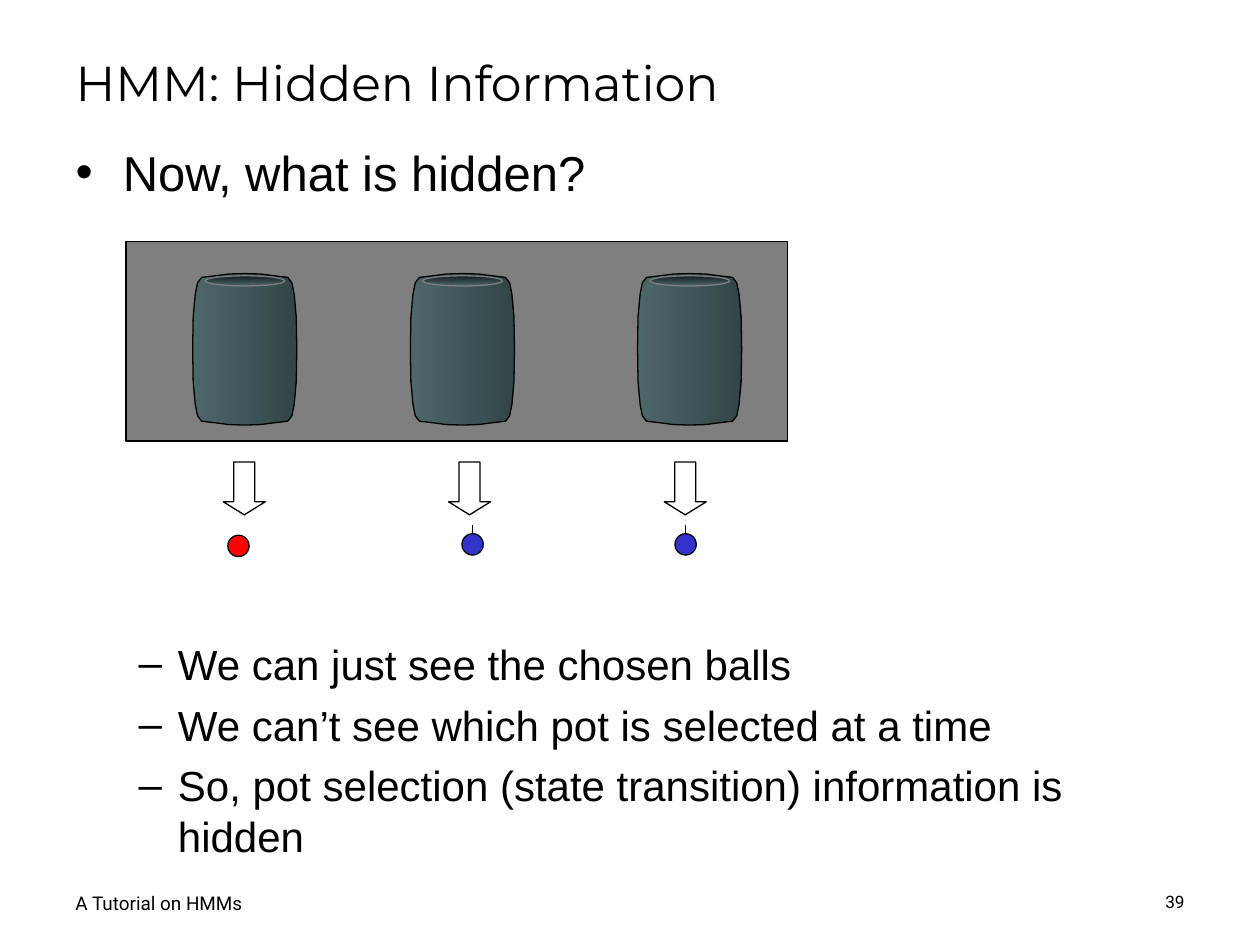
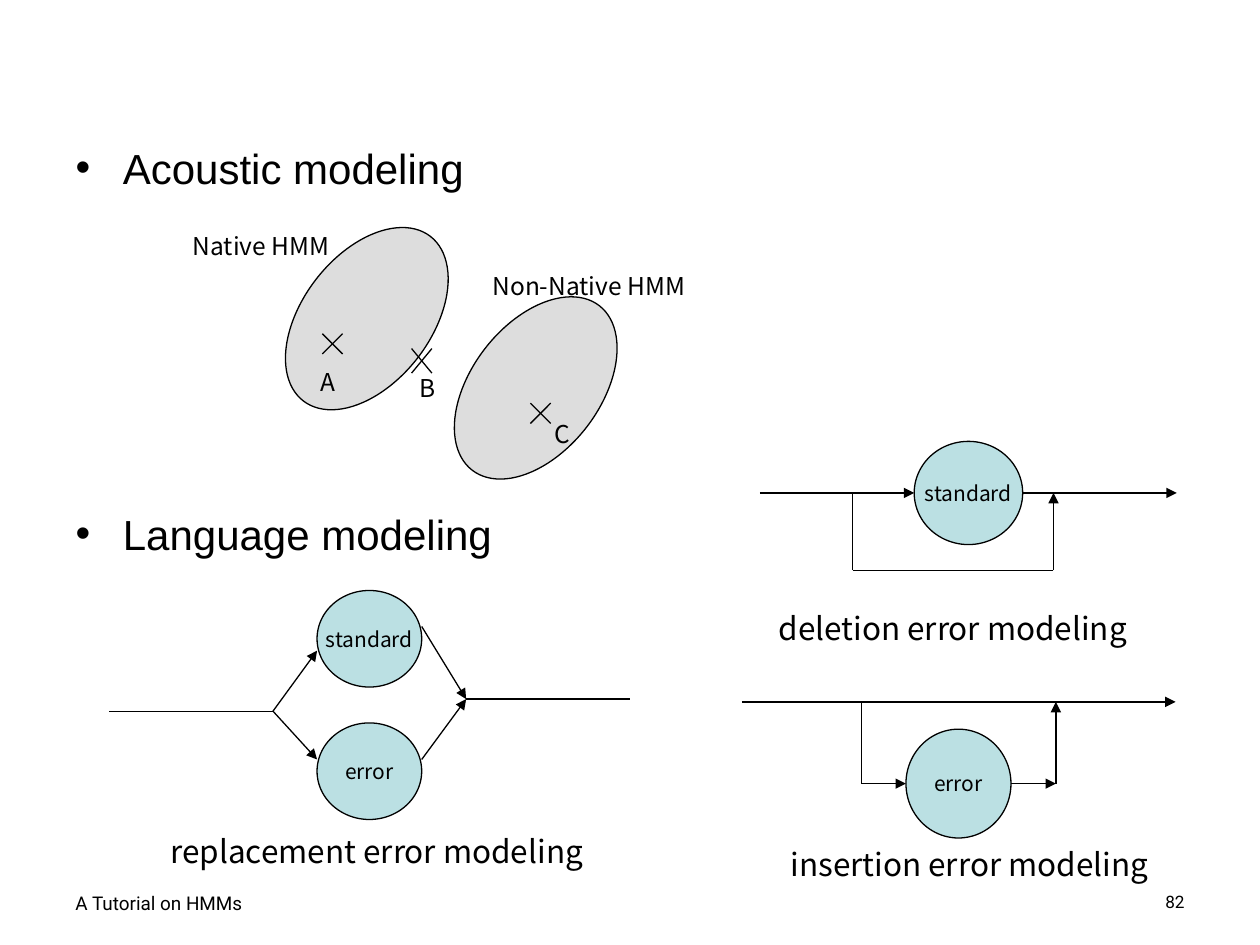
from dataclasses import dataclass
from typing import NamedTuple, Optional

import lxml.etree
import pptx
import pptx.dml.color
import pptx.enum.shapes
import pptx.enum.text
import pptx.oxml.ns
import pptx.util

Pt = pptx.util.Pt
Shape = pptx.enum.shapes.MSO_SHAPE
Align = pptx.enum.text.PP_ALIGN
Anchor = pptx.enum.text.MSO_ANCHOR
qn = pptx.oxml.ns.qn


# Theme: every colour, font and type size
@dataclass(frozen=True)
class Theme:
    black: str = "000000"
    white: str = "FFFFFF"
    red: str = "FF0000"
    blue: str = "3333CC"
    cluster: str = "DDDDDD"
    state: str = "BBE0E3"
    pot_light: str = "9CD2D6"
    pot_dark: str = "678B8E"
    mouth_dark: str = "283637"
    title_font: str = "Montserrat"
    body_font: str = "Arial"
    footer_font: str = "Roboto"
    label_font: str = "Noto Sans CJK KR"
    title_size: float = 28
    lead_size: float = 28
    body_size: float = 24
    caption_size: float = 18
    label_size: float = 14
    state_size: float = 12
    footer_size: float = 10.8
    number_size: float = 9.8
    line_width: float = 0.75


THEME = Theme()


class Item(NamedTuple):
    text: str
    size: float
    level: int = 0
    space_before: float = 0


class Label(NamedTuple):
    text: str
    left: float
    top: float
    width: float
    size: float = THEME.label_size


class State(NamedTuple):
    text: str
    left: float
    top: float
    width: float
    height: float


class Link(NamedTuple):
    begin: tuple[float, float]
    end: tuple[float, float]
    arrow: bool = False


class Cross(NamedTuple):
    x: float
    y: float
    half_width: float = 5.8
    half_height: float = 5.8


class Ball(NamedTuple):
    left: float
    top: float
    color: str


# Shared helpers; a parent is a page or a group on it
def rgb(color: str) -> pptx.dml.color.RGBColor:
    return pptx.dml.color.RGBColor.from_string(color)


def write(para, text: str, *, size: float, font: str = THEME.label_font,
          color: str = THEME.black, align=Align.LEFT) -> None:
    para.alignment = align
    span = para.add_run()
    span.text = text
    span.font.size = Pt(size)
    span.font.name = font
    span.font.color.rgb = rgb(color)


def place(box, left: float, top: float, width: float, height: float) -> None:
    box.left, box.top, box.width, box.height = map(Pt, (left, top, width, height))


def add_text(page, text: str, left: float, top: float, width: float, height: float,
             *, wrap: bool = False, line_spacing: Optional[float] = None, **style) -> None:
    box = page.shapes.add_textbox(Pt(left), Pt(top), Pt(width), Pt(height))
    box.text_frame.word_wrap = wrap
    para = box.text_frame.paragraphs[0]
    if line_spacing:
        para.line_spacing = line_spacing
    write(para, text, **style)


def outline(shape, color: str = THEME.black) -> None:
    shape.shadow.inherit = False
    shape.line.color.rgb = rgb(color)
    shape.line.width = Pt(THEME.line_width)


def fill_gradient(shape, first: str, last: str, angle: float) -> None:
    shape.fill.gradient()
    shape.fill.gradient_angle = angle
    for stop, color in zip(shape.fill.gradient_stops, (first, last)):
        stop.color.rgb = rgb(color)


def add_figure(parent, kind, left: float, top: float, width: float, height: float,
               fill: Optional[str] = None, line: str = THEME.black):
    shape = parent.shapes.add_shape(kind, Pt(left), Pt(top), Pt(width), Pt(height))
    outline(shape, line)
    if fill:
        shape.fill.solid()
        shape.fill.fore_color.rgb = rgb(fill)
    else:
        shape.fill.background()
    return shape


def add_link(parent, link: Link):
    line = parent.shapes.add_connector(
        pptx.enum.shapes.MSO_CONNECTOR.STRAIGHT, *map(Pt, link.begin + link.end))
    line.line.color.rgb = rgb(THEME.black)
    line.line.width = Pt(THEME.line_width)
    if link.arrow:
        lxml.etree.SubElement(line.line._get_or_add_ln(), qn("a:tailEnd"), type="triangle")
    lxml.etree.SubElement(line.element.spPr, qn("a:effectLst"))
    return line


def add_page(deck, number: int, items: list[Item], title: str = ""):
    page = deck.slides.add_slide(deck.slide_layouts[1])
    heading, body = page.placeholders
    # Title
    if title:
        place(heading, 36, 21.6, 648, 50.4)
        heading.text_frame.vertical_anchor = Anchor.MIDDLE
        write(heading.text_frame.paragraphs[0], title,
              size=THEME.title_size, font=THEME.title_font)
    else:
        heading.element.getparent().remove(heading.element)
    # List
    place(body, 36, 77.7, 648, 419)
    body.text_frame.auto_size = pptx.enum.text.MSO_AUTO_SIZE.NONE
    for index, item in enumerate(items):
        para = body.text_frame.add_paragraph() if index else body.text_frame.paragraphs[0]
        para.level = item.level
        para.space_before = Pt(item.space_before)
        write(para, item.text, size=item.size, font=THEME.body_font)
    # Footer
    footer = dict(wrap=True, line_spacing=0.8, font=THEME.footer_font)
    add_text(page, "A Tutorial on HMMs", 36, 508.3, 168, 21,
             size=THEME.footer_size, **footer)
    add_text(page, str(number), 516, 508.3, 168, 21,
             size=THEME.number_size, align=Align.RIGHT, **footer)
    return page


# Pots and balls
POT_WIDTH, POT_HEIGHT = 60.5, 87
# Top and right side of the outline; the rest is its half turn
POT_HALF = [(3.3, 5.5), (5.7, 2.4), (13.5, 1.5), (21, 0.5), (30.25, 0.2), (39.5, 0.5),
            (47, 1.5), (54.8, 2.4), (57.2, 5.5), (58.5, 12), (59.7, 25), (60, 43.5),
            (59.7, 62), (58.5, 75)]


def add_pot(group, left: float, top: float) -> None:
    turned = [(POT_WIDTH - x, POT_HEIGHT - y) for x, y in POT_HALF]
    vertices = [(Pt(left + x), Pt(top + y)) for x, y in POT_HALF + turned]
    builder = group.shapes.build_freeform(*vertices[0])
    builder.add_line_segments(vertices[1:], close=True)
    pot = builder.convert_to_shape()
    outline(pot)
    fill_gradient(pot, THEME.pot_light, THEME.pot_dark, 0)
    mouth = add_figure(group, Shape.OVAL, left + 7.7, top + 1.5, 45.4, 5.8, line=THEME.white)
    fill_gradient(mouth, THEME.mouth_dark, THEME.pot_light, 270)


def add_ball(parent, ball: Ball, pin_length: float = 0) -> None:
    size = 12.2
    shape = add_figure(parent, Shape.OVAL, ball.left, ball.top, size, size, ball.color)
    if pin_length:
        x = ball.left + size / 2
        pin = add_link(parent, Link((x, ball.top - pin_length), (x, ball.top)))
        pin.end_connect(shape, 0)


def build_hidden_information(deck) -> None:
    size = THEME.body_size
    page = add_page(deck, 39, [
        Item("Now, what is hidden?", THEME.lead_size),
        Item("We can just see the chosen balls", size, 1, 249.7),
        Item("We can’t see which pot is selected at a time", size, 1, 6),
        Item("So, pot selection (state transition) information is hidden", size, 1, 6),
    ], "HMM: Hidden Information")
    for left in (109.6, 234, 363.8):
        add_pot(page.shapes.add_group_shape(), left, 156.1)
    for left in (127.6, 256.3, 379.6):
        arrow = add_figure(page, Shape.DOWN_ARROW, left, 264, 24, 30.2)
        arrow.adjustments[1] = 0.31
    add_ball(page, Ball(130.2, 305.9, THEME.red))
    for left in (385.7, 264):
        add_ball(page.shapes.add_group_shape(), Ball(left, 305, THEME.blue), 5)
    # Half-transparent curtain over the pots
    curtain = add_figure(page, Shape.RECTANGLE, 72, 138, 378, 114, THEME.black)
    color = curtain.element.spPr.find(qn("a:solidFill")).find(qn("a:srgbClr"))
    lxml.etree.SubElement(color, qn("a:alpha"), val="50000")


# Error modeling
CLUSTERS = [(172.9, 122.7), (269.4, 162.3)]
CROSSES = [Cross(190, 196.5), Cross(241, 206.2, 5.8, 7), Cross(308.9, 236.2)]
LABELS = [
    Label("Native HMM", 103, 128.2, 95.8),
    Label("Non-Native HMM", 274.3, 151.2, 128.2),
    Label("A", 176, 206, 23),
    Label("B", 232.6, 209.5, 23),
    Label("C", 309.6, 235.9, 23),
    Label("replacement error modeling", 90.3, 472, 254.2, THEME.caption_size),
    Label("deletion error modeling", 437.8, 344.2, 216.7, THEME.caption_size),
    Label("insertion error modeling", 444.6, 479.1, 222.5, THEME.caption_size),
]
REPLACEMENT_STATES = [
    State("standard", 181.2, 337.4, 59.8, 55.2),
    State("error", 181.2, 413.1, 59.8, 55.2),
]
DELETION_STATES = [State("standard", 522.4, 252.2, 62, 59)]
INSERTION_STATES = [State("error", 517.7, 416.7, 60, 62.2)]
SPLIT, MERGE = (156, 406.4), (266.4, 399.5)
REPLACEMENT_LINKS = [
    Link((62.5, 406.4), SPLIT),
    Link(MERGE, (360, 399.5)),
    Link(SPLIT, (181.2, 371.8), True),
    Link(SPLIT, (181.2, 434), True),
    Link((241, 358), MERGE, True),
    Link((241, 434), MERGE, True),
]
DELETION_LINKS = [
    Link((434.2, 281.7), (522.4, 281.7), True),
    Link((584.4, 281.7), (672.5, 281.7), True),
    Link((487.3, 281.7), (487.3, 326)),
    Link((487.3, 326), (602, 326)),
    Link((602, 326), (602, 281.7), True),
]
INSERTION_LINKS = [
    Link((424, 401.1), (671.8, 401.1), True),
    Link((492.4, 401.1), (492.4, 447.8)),
    Link((603.4, 447.8), (603.4, 401.1), True),
    Link((492.4, 447.8), (517.7, 447.8), True),
    Link((577.7, 447.8), (603.4, 447.8), True),
]


def add_cross(page, cross: Cross) -> None:
    for slope in (1, -1):
        rise = slope * cross.half_height
        add_link(page, Link((cross.x - cross.half_width, cross.y - rise),
                            (cross.x + cross.half_width, cross.y + rise)))


def add_network(group, states: list[State], links: list[Link]) -> None:
    for state in states:
        circle = add_figure(group, Shape.OVAL, state.left, state.top,
                            state.width, state.height, THEME.state)
        circle.text_frame.word_wrap = False
        circle.text_frame.vertical_anchor = Anchor.MIDDLE
        write(circle.text_frame.paragraphs[0], state.text,
              size=THEME.state_size, align=Align.CENTER)
    for link in links:
        add_link(group, link)


def build_error_modeling(deck) -> None:
    page = add_page(deck, 82, [
        Item("Acoustic modeling", THEME.body_size),
        Item("Language modeling", THEME.body_size, 0, 180.3),
    ])
    for left, top in CLUSTERS:
        add_figure(page, Shape.OVAL, left, top, 73.4, 118.8, THEME.cluster).rotation = 37.7
    for cross in CROSSES:
        add_cross(page, cross)
    for states, links in ((REPLACEMENT_STATES, REPLACEMENT_LINKS),
                          (DELETION_STATES, DELETION_LINKS),
                          (INSERTION_STATES, INSERTION_LINKS)):
        add_network(page.shapes.add_group_shape(), states, links)
    for label in LABELS:
        height = 28.8 if label.size == THEME.caption_size else 24.5
        add_text(page, label.text, label.left, label.top, label.width, height,
                 size=label.size)


def main() -> None:
    deck = pptx.Presentation()
    deck.slide_width, deck.slide_height = Pt(720), Pt(540)
    build_hidden_information(deck)
    build_error_modeling(deck)
    deck.save("out.pptx")


if __name__ == "__main__":
    main()
